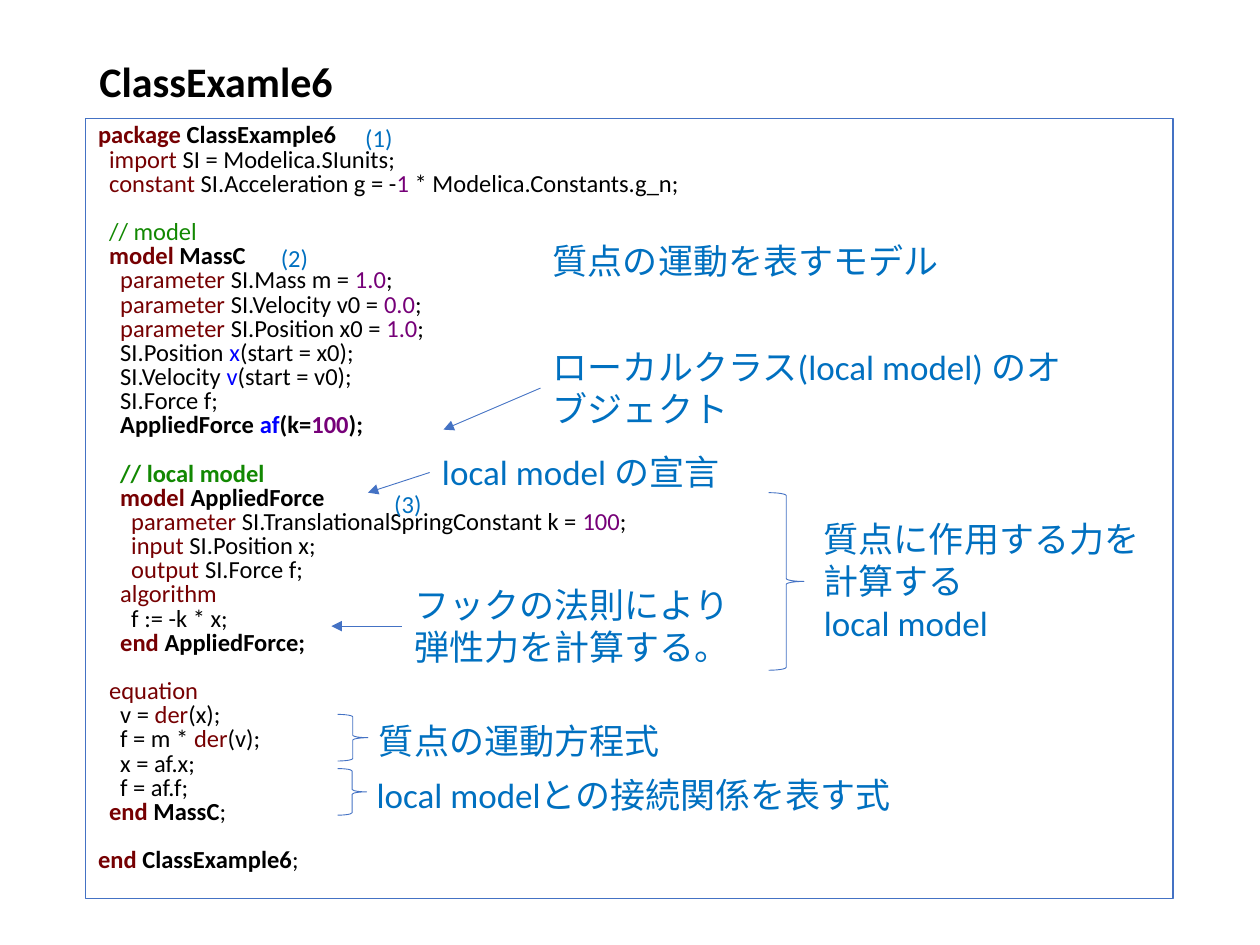
from dataclasses import dataclass
from typing import Optional

from lxml.etree import SubElement
from pptx import Presentation
from pptx.dml.color import RGBColor
from pptx.enum.shapes import MSO_CONNECTOR as Connector, MSO_SHAPE as Preset
from pptx.enum.text import MSO_ANCHOR as Anchor, PP_ALIGN as Align
from pptx.oxml.ns import qn
from pptx.util import Inches, Pt

COLORS = {
    "plain": "000000",
    "keyword": "760002",
    "number": "760078",
    "comment": "128802",
    "variable": "0000FF",
    "note": "0070C0",
    "line": "4472C4",
}
FONT = "Calibri"
CODE_SIZE = 14
CODE_PITCH = 13.8


@dataclass
class Span:
    text: str
    color: str = "plain"
    bold: Optional[bool] = None


@dataclass
class CodeLine:
    level: int
    spans: list[Span]
    bold: bool = False
    gap: bool = False


@dataclass
class Note:
    left: float
    top: float
    width: float
    height: float
    lines: list[str]
    size: int = 20


@dataclass
class Brace:
    left: float
    top: float
    width: float
    height: float


@dataclass
class Arrow:
    start: tuple[float, float]
    end: tuple[float, float]


def keyword(text: str) -> Span:
    return Span(text, "keyword")


def number(text: str) -> Span:
    return Span(text, "number")


def variable(text: str) -> Span:
    return Span(text, "variable")


def comment(text: str) -> Span:
    return Span(text, "comment")


def declaration(level: int, word: str, text: str, value: str = "") -> CodeLine:
    spans = [keyword(f"{word} "), Span(text)]
    if value:
        spans += [number(value), Span(";")]
    return CodeLine(level, spans)


def state(kind: str, name: str) -> CodeLine:
    return CodeLine(2, [Span(f"SI.{kind} "), variable(name), Span(f"(start = {name}0);")])


def statement(level: int, text: str) -> CodeLine:
    return CodeLine(level, [Span(text)])


def derivative(left_side: str, argument: str) -> CodeLine:
    return CodeLine(2, [Span(left_side), keyword("der"), Span(f"({argument});")])


def block(level: int, word: str, name: str, closing: str = "", gap: bool = False) -> CodeLine:
    spans = [keyword(f"{word} "), Span(name)]
    if closing:
        spans.append(Span(closing, bold=False))
    return CodeLine(level, spans, bold=True, gap=gap)


CODE = [
    block(0, "package", "ClassExample6"),
    declaration(1, "import", "SI = Modelica.SIunits;"),
    CodeLine(1, [keyword("constant "), Span("SI.Acceleration g = -"), number("1"),
                 Span(" * Modelica.Constants.g_n;")]),
    CodeLine(1, [comment("// model")], gap=True),
    block(1, "model", "MassC"),
    declaration(2, "parameter", "SI.Mass m = ", "1.0"),
    declaration(2, "parameter", "SI.Velocity v0 = ", "0.0"),
    declaration(2, "parameter", "SI.Position x0 = ", "1.0"),
    state("Position", "x"),
    state("Velocity", "v"),
    statement(2, "SI.Force f;"),
    CodeLine(2, [Span("AppliedForce "), variable("af"), Span("(k="), number("100"),
                 Span(");")], bold=True),
    CodeLine(2, [comment("// local model")], bold=True, gap=True),
    block(2, "model", "AppliedForce"),
    declaration(3, "parameter", "SI.TranslationalSpringConstant k = ", "100"),
    declaration(3, "input", "SI.Position x;"),
    declaration(3, "output", "SI.Force f;"),
    CodeLine(2, [keyword("algorithm")]),
    statement(3, "f := -k * x;"),
    block(2, "end", "AppliedForce;"),
    CodeLine(1, [keyword("equation")], gap=True),
    derivative("v = ", "x"),
    derivative("f = m * ", "v"),
    statement(2, "x = af.x;"),
    statement(2, "f = af.f;"),
    block(1, "end", "MassC", ";"),
    block(0, "end", "ClassExample6", ";", gap=True),
]

NOTES = [
    Note(6.44, 4.06, 2.77, 1.11, ["質点に作用する力を計算する", "local model"]),
    Note(4.29, 1.85, 3.63, 0.44, ["質点の運動を表すモデル"]),
    Note(3.19, 4.58, 2.85, 0.77, ["フックの法則により弾性力を計算する。"]),
    Note(2.91, 5.66, 2.5, 0.44, ["質点の運動方程式"]),
    Note(2.89, 6.09, 4.97, 0.44, ["local modelとの接続関係を表す式"]),
    Note(2.8, 0.93, 0.82, 0.34, ["(1)"], CODE_SIZE),
    Note(3.03, 3.83, 0.49, 0.34, ["(3)"], CODE_SIZE),
    Note(4.29, 2.69, 4.3, 0.77, ["ローカルクラス(local model) のオブジェクト"]),
    Note(2.13, 1.88, 0.49, 0.34, ["(2)"], CODE_SIZE),
    Note(3.41, 3.53, 3.93, 0.44, ["local model の宣言"]),
]
BRACES = [
    Brace(6.1, 3.91, 0.28, 1.41),
    Brace(2.68, 5.67, 0.24, 0.37),
    Brace(2.68, 6.1, 0.23, 0.37),
]
ARROWS = [
    Arrow((3.19, 4.97), (2.63, 4.97)),
    Arrow((4.29, 3.08), (3.52, 3.41)),
    Arrow((3.41, 3.75), (2.92, 3.91)),
]


def rgb(color: str) -> RGBColor:
    return RGBColor.from_string(COLORS[color])


def style(font, size: float, color: str, bold: bool = False) -> None:
    font.name, font.size, font.bold = FONT, Pt(size), bold
    font.color.rgb = rgb(color)


def add_outline(page, preset, left: float, top: float, width: float, height: float, weight: float):
    shape = page.shapes.add_shape(preset, Inches(left), Inches(top), Inches(width), Inches(height))
    shape.shadow.inherit = False
    shape.fill.background()
    shape.line.color.rgb = rgb("line")
    shape.line.width = Pt(weight)
    return shape


def add_title(page, text: str) -> None:
    box = page.shapes.add_textbox(Inches(0.69), Inches(0.39), Inches(8.62), Inches(0.55))
    frame = box.text_frame
    frame.word_wrap, frame.vertical_anchor = True, Anchor.MIDDLE
    frame.text = text
    frame.paragraphs[0].line_spacing = 0.9
    style(frame.paragraphs[0].runs[0].font, 24, "plain", True)


def add_code(page, lines: list[CodeLine]) -> None:
    frame = add_outline(page, Preset.RECTANGLE, 0.68, 0.94, 8.63, 6.19, 0.75).text_frame
    frame.word_wrap, frame.vertical_anchor = True, Anchor.TOP
    for index, line in enumerate(lines):
        para = frame.add_paragraph() if index else frame.paragraphs[0]
        para.alignment, para.line_spacing = Align.LEFT, Pt(CODE_PITCH)
        if line.gap:
            para.space_before = Pt(CODE_PITCH)
        for position, span in enumerate(line.spans):
            run = para.add_run()
            run.text = span.text if position else "  " * line.level + span.text
            style(run.font, CODE_SIZE, span.color, line.bold if span.bold is None else span.bold)


def add_note(page, note: Note) -> None:
    box = page.shapes.add_textbox(Inches(note.left), Inches(note.top),
                                  Inches(note.width), Inches(note.height))
    box.text_frame.word_wrap = True
    box.text_frame.text = "\n".join(note.lines)
    for para in box.text_frame.paragraphs:
        for run in para.runs:
            style(run.font, note.size, "note")


def add_arrow(page, arrow: Arrow) -> None:
    points = [Inches(value) for value in arrow.start + arrow.end]
    line = page.shapes.add_connector(Connector.STRAIGHT, *points)
    line.line.color.rgb = rgb("line")
    line.line.width = Pt(0.5)
    SubElement(line.line._get_or_add_ln(), qn("a:tailEnd"), type="triangle")
    SubElement(line._element.spPr, qn("a:effectLst"))


def main() -> None:
    deck = Presentation()
    deck.slide_width, deck.slide_height = Inches(10), Inches(7.5)
    page = deck.slides.add_slide(deck.slide_layouts[6])
    add_title(page, "ClassExamle6")
    add_code(page, CODE)
    for brace in BRACES:
        add_outline(page, Preset.RIGHT_BRACE, brace.left, brace.top, brace.width, brace.height, 0.5)
    for note in NOTES:
        add_note(page, note)
    for arrow in ARROWS:
        add_arrow(page, arrow)
    deck.save("out.pptx")


if __name__ == "__main__":
    main()
